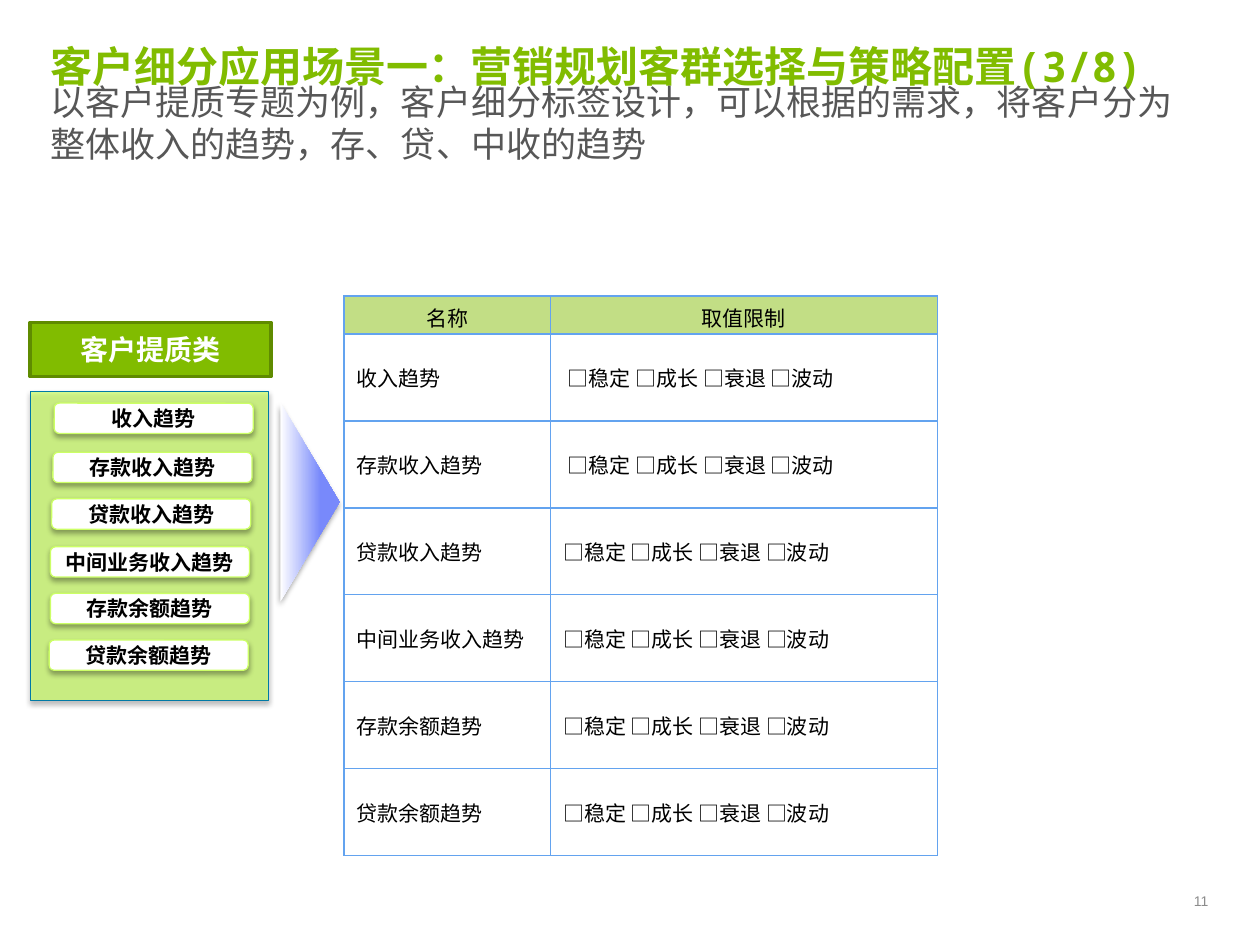
"""Build the customer segmentation slide with trend labels and their allowed values."""
from dataclasses import dataclass

import lxml.etree
import pptx
import pptx.dml.color
import pptx.enum.dml
import pptx.enum.shapes
import pptx.enum.text
import pptx.oxml
import pptx.oxml.ns
import pptx.util

Inches = pptx.util.Inches
Pt = pptx.util.Pt
RGB = pptx.dml.color.RGBColor.from_string
SHAPE = pptx.enum.shapes.MSO_SHAPE
ALIGN = pptx.enum.text.PP_ALIGN
ANCHOR = pptx.enum.text.MSO_ANCHOR
qn = pptx.oxml.ns.qn
NS = pptx.oxml.ns.nsdecls("a")


@dataclass(frozen=True)
class Theme:
    heading: str = "Noto Sans Mono"
    body: str = "Arial"
    green: str = "81BC00"
    dark_green: str = "5F8B00"
    lime: str = "CCFF66"
    teal: str = "0079A6"
    blue: str = "7889FB"
    border: str = "63A3EF"
    black: str = "000000"
    white: str = "FFFFFF"
    grey: str = "575757"
    light_grey: str = "8C8C8C"
    title_size: int = 24
    subtitle_size: int = 20
    header_size: int = 16
    label_size: int = 12
    number_size: int = 8


@dataclass(frozen=True)
class Box:
    left: float
    top: float
    width: float
    height: float

    def lengths(self) -> tuple:
        return tuple(Inches(v) for v in (self.left, self.top, self.width, self.height))


@dataclass(frozen=True)
class Style:
    size: int
    color: str
    font: str
    bold: bool = False
    align: ALIGN = ALIGN.LEFT


@dataclass(frozen=True)
class Trend:
    name: str
    left: float
    top: float
    values: str


THEME = Theme()
OPTIONS = "□稳定 □成长 □衰退 □波动"
TRENDS = [
    Trend("收入趋势", 0.43, 3.2, " " + OPTIONS),
    Trend("存款收入趋势", 0.42, 3.59, " " + OPTIONS),
    Trend("贷款收入趋势", 0.41, 3.96, OPTIONS),
    Trend("中间业务收入趋势", 0.4, 4.34, OPTIONS),
    Trend("存款余额趋势", 0.4, 4.71, OPTIONS),
    Trend("贷款余额趋势", 0.39, 5.08, OPTIONS),
]


def write(tf, text: str, style: Style):
    p = tf.paragraphs[0]
    p.alignment = style.align
    r = p.add_run()
    r.text = text
    r.font.size = Pt(style.size)
    r.font.name = style.font
    r.font.bold = style.bold
    r.font.color.rgb = RGB(style.color)
    return p


def clear_margins(tf) -> None:
    tf.margin_left = tf.margin_right = tf.margin_top = tf.margin_bottom = 0


def add_text(slide, box: Box, text: str, style: Style, anchor=ANCHOR.TOP):
    tf = slide.shapes.add_textbox(*box.lengths()).text_frame
    tf.word_wrap = True
    tf.vertical_anchor = anchor
    clear_margins(tf)
    return write(tf, text, style)


def set_alpha(fill, parent, percent: int) -> None:
    color = parent.find(qn("a:solidFill"))[0]
    lxml.etree.SubElement(color, qn("a:alpha"), val=str(percent * 1000))


def add_shadow(sp) -> None:
    sp.shadow.inherit = False
    effects = sp.element.spPr.find(qn("a:effectLst"))
    effects.append(pptx.oxml.parse_xml(
        f'<a:outerShdw {NS} blurRad="{Pt(3.1)}" dist="{Pt(1.8)}" dir="5400000" rotWithShape="0">'
        f'<a:srgbClr val="{THEME.black}"><a:alpha val="35000"/></a:srgbClr></a:outerShdw>'))


def add_panel(slide, kind: SHAPE, box: Box, fill: str, line: str, width: float):
    sp = slide.shapes.add_shape(kind, *box.lengths())
    sp.shadow.inherit = False
    sp.fill.solid()
    sp.fill.fore_color.rgb = RGB(fill)
    sp.line.color.rgb = RGB(line)
    sp.line.width = Pt(width)
    clear_margins(sp.text_frame)
    sp.text_frame.word_wrap = False
    return sp


def add_arrow(slide) -> None:
    sp = slide.shapes.add_shape(SHAPE.ISOSCELES_TRIANGLE, *Box(1.67, 3.75, 1.58, 0.47).lengths())
    sp.rotation = 90
    sp.line.fill.background()
    sp.fill.gradient()
    sp.fill.gradient_angle = 90
    for stop, position, color in zip(sp.fill.gradient_stops, (0, 0.68), (THEME.white, THEME.blue)):
        stop.position = position
        stop.color.rgb = RGB(color)
    add_shadow(sp)


def fill_cell(cell, text: str, align: ALIGN, header: bool) -> None:
    cell.vertical_anchor = ANCHOR.MIDDLE
    cell.margin_left = cell.margin_right = Inches(0.1)
    cell.margin_top = cell.margin_bottom = Inches(0.05)
    write(cell.text_frame, text, Style(THEME.label_size, THEME.black, THEME.body, align=align))
    props = cell._tc.get_or_add_tcPr()
    if header:
        cell.fill.solid()
        cell.fill.fore_color.rgb = RGB(THEME.green)
        set_alpha(cell.fill, props, 48)
    else:
        cell.fill.background()
    for i, side in enumerate("LRTB"):
        props.insert(i, pptx.oxml.parse_xml(
            f'<a:ln{side} {NS} w="{Pt(1)}"><a:solidFill><a:srgbClr val="{THEME.border}"/>'
            f'</a:solidFill></a:ln{side}>'))


def add_trend_table(slide) -> None:
    rows = [("名称", "取值限制")] + [(t.name, t.values) for t in TRENDS]
    table = slide.shapes.add_table(len(rows), 2, *Box(2.73, 2.35, 4.71, 4.44).lengths()).table
    table.first_row = table.horz_banding = False
    for column, width in zip(table.columns, (1.64, 3.07)):
        column.width = Inches(width)
    for i, row in enumerate(rows):
        table.rows[i].height = Inches(0.69 if i else 0.3)
        for j, text in enumerate(row):
            fill_cell(table.cell(i, j), text, ALIGN.LEFT if i else ALIGN.CENTER, i == 0)


def add_trend_panel(slide) -> None:
    header = add_panel(slide, SHAPE.RECTANGLE, Box(0.24, 2.56, 1.91, 0.43),
                       THEME.green, THEME.dark_green, 2)
    write(header.text_frame, "客户提质类",
          Style(THEME.header_size, THEME.white, THEME.heading, True, ALIGN.CENTER))
    panel = add_panel(slide, SHAPE.RECTANGLE, Box(0.24, 3.11, 1.89, 2.45),
                      THEME.lime, THEME.teal, 0.75)
    set_alpha(panel.fill, panel.element.spPr, 70)
    add_shadow(panel)
    label = Style(THEME.label_size, THEME.black, THEME.heading, True, ALIGN.CENTER)
    for trend in TRENDS:
        sp = add_panel(slide, SHAPE.ROUNDED_RECTANGLE, Box(trend.left, trend.top, 1.58, 0.24),
                       THEME.white, THEME.lime, 0.75)
        add_shadow(sp)
        write(sp.text_frame, trend.name, label)


def main() -> None:
    prs = pptx.Presentation()
    prs.slide_width, prs.slide_height = Inches(10), Inches(7.5)
    slide = prs.slides.add_slide(prs.slide_layouts[6])
    add_text(slide, Box(0.4, 0.32, 9.17, 0.51), "客户细分应用场景一：营销规划客群选择与策略配置(3/8)",
             Style(THEME.title_size, THEME.green, THEME.heading, True))
    add_text(slide, Box(8.72, 7.01, 0.87, 0.28), "11",
             Style(THEME.number_size, THEME.light_grey, THEME.body, align=ALIGN.RIGHT), ANCHOR.MIDDLE)
    add_arrow(slide)
    add_trend_table(slide)
    add_trend_panel(slide)
    p = add_text(slide, Box(0.4, 0.64, 9.15, 1.06),
                 "以客户提质专题为例，客户细分标签设计，可以根据的需求，将客户分为整体收入的趋势，存、贷、中收的趋势",
                 Style(THEME.subtitle_size, THEME.grey, THEME.heading))
    p.space_before = Pt(12)
    prs.save("out.pptx")


if __name__ == "__main__":
    main()
